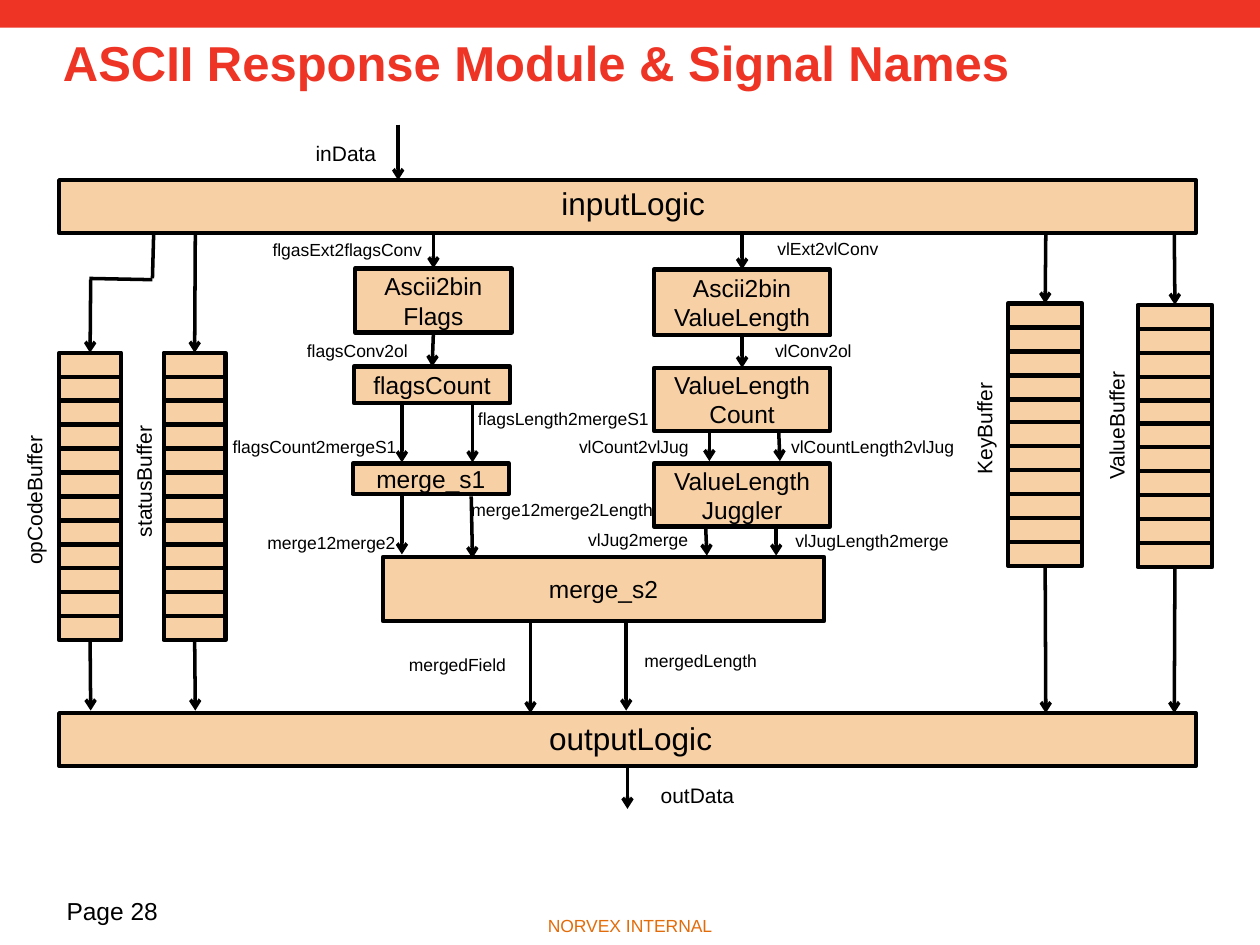
from pptx import Presentation
from pptx.dml.color import RGBColor
from pptx.enum.shapes import MSO_CONNECTOR, MSO_SHAPE
from pptx.enum.text import MSO_ANCHOR, PP_ALIGN
from pptx.oxml.ns import qn
from pptx.util import Pt
from lxml.etree import SubElement

PX = 9144  # 100 px to the inch
COLORS = {"red": "EE3424", "box": "F7D0A5", "ink": "000000", "footer": "E36C0A"}

deck = Presentation()
deck.slide_width, deck.slide_height = 1000 * PX, 750 * PX
page = deck.slides.add_slide(deck.slide_layouts[6])


def write_text(frame, text, size=10, color="ink", bold=False, wrap=True,
               align=PP_ALIGN.CENTER, anchor=MSO_ANCHOR.TOP, spacing=None):
    frame.word_wrap = wrap
    frame.vertical_anchor = anchor
    for index, line in enumerate(text.split("\n")):
        para = frame.paragraphs[0] if index == 0 else frame.add_paragraph()
        para.alignment = align
        para.line_spacing = spacing
        span = para.add_run()
        span.text = line
        span.font.name = "Arial"
        span.font.size = Pt(size)
        span.font.bold = bold
        span.font.color.rgb = RGBColor.from_string(COLORS[color])


def add_box(left, top, width, height, fill="box", outlined=True):
    box = page.shapes.add_shape(MSO_SHAPE.RECTANGLE, left * PX, top * PX, width * PX, height * PX)
    box.shadow.inherit = False
    box.fill.solid()
    box.fill.fore_color.rgb = RGBColor.from_string(COLORS[fill])
    if outlined:
        box.line.color.rgb = RGBColor.from_string(COLORS["ink"])
        box.line.width = Pt(2.5)
    else:
        box.line.fill.background()
    return box


# Top band
add_box(0, 0, 1000, 22, fill="red", outlined=False)

# Input and output bars
boxes = {
    "inputLogic": add_box(47, 143, 902, 42),
    "outputLogic": add_box(47, 566, 902, 42),
}

# Processing blocks
blocks = [
    ("flagsConv", "Ascii2bin\nFlags", 282, 213, 124, 51),
    ("flagsCount", "flagsCount", 281, 291, 124, 29),
    ("mergeS1", "merge_s1", 280, 368, 124, 24),
    ("vlConv", "Ascii2bin\nValueLength", 519, 214, 140, 52),
    ("vlCount", "ValueLength\nCount", 519, 292, 140, 50),
    ("vlJuggler", "ValueLength\nJuggler", 519, 368, 140, 50),
    ("mergeS2", "merge_s2", 304, 442, 350, 51),
]
for name, text, left, top, width, height in blocks:
    boxes[name] = add_box(left, top, width, height)
    write_text(boxes[name].text_frame, text, size=14, anchor=MSO_ANCHOR.MIDDLE)

# Buffers: stacks of equal cells
buffers = [
    ("opCode", 47, 280, 49, 12, 19),
    ("status", 130, 280, 49, 12, 19),
    ("key", 800, 241, 59, 11, 18.9),
    ("value", 903, 242, 59, 11, 18.9),
]
for name, left, top, width, count, pitch in buffers:
    cells = [add_box(left, top + round(row * pitch), width, 19) for row in range(count)]
    boxes[name + " first"], boxes[name + " last"] = cells[0], cells[-1]

# Signal lines: from, to, block joined at its bottom, block joined at its top
arrows = [
    (316, 99, 316, 143, None, None),
    (72, 222, 71, 280, None, "opCode first"),
    (155, 186, 155, 280, None, "status first"),
    (830, 186, 830, 241, None, "key first"),
    (932, 186, 932, 242, None, "value first"),
    (71, 509, 72, 564, "opCode last", None),
    (155, 509, 155, 564, "status last", None),
    (830, 450, 830, 566, "key last", None),
    (932, 450, 932, 566, "value last", None),
    (344, 184, 344, 213, None, "flagsConv"),
    (589, 185, 589, 214, None, "vlConv"),
    (343, 263, 343, 291, "flagsConv", "flagsCount"),
    (589, 265, 589, 292, "vlConv", "vlCount"),
    (319, 321, 319, 367, None, None),
    (375, 321, 375, 367, None, None),
    (319, 393, 319, 440, None, None),
    (374, 394, 375, 443, None, None),
    (563, 342, 563, 366, None, None),
    (618, 342, 619, 366, None, None),
    (560, 417, 561, 441, None, None),
    (616, 417, 616, 441, None, None),
    (421, 493, 421, 566, None, None),
    (497, 492, 497, 564, None, None),
    (498, 608, 498, 642, "outputLogic", None),
]
plain_lines = [
    (122, 185, 121, 221, None, None),
    (121, 222, 71, 221, None, None),
]
for signal in plain_lines + arrows:
    x1, y1, x2, y2, source, target = signal
    line = page.shapes.add_connector(MSO_CONNECTOR.STRAIGHT, x1 * PX, y1 * PX, x2 * PX, y2 * PX)
    if source:
        line.begin_connect(boxes[source], 2)
    if target:
        line.end_connect(boxes[target], 0)
    line.line.color.rgb = RGBColor.from_string(COLORS["ink"])
    line.line.width = Pt(2)
    if signal in arrows:
        SubElement(line.line._get_or_add_ln(), qn("a:tailEnd"), type="arrow")
    SubElement(line._element.spPr, qn("a:effectLst"))

# Labels: text, left, top, width, height, size, rotation
labels = [
    ("inputLogic", 435, 141, 135, 40, 18, 0),
    ("outputLogic", 425, 566, 151, 40, 18, 0),
    ("inData", 240, 107, 69, 30, 12, 0),
    ("outData", 514, 616, 79, 30, 12, 0),
    ("opCodeBuffer", -37, 382, 128, 30, 12, 270),
    ("statusBuffer", 59, 367, 110, 30, 12, 270),
    ("KeyBuffer", 734, 325, 94, 30, 12, 270),
    ("ValueBuffer", 833, 323, 106, 30, 12, 270),
    ("flgasExt2flagsConv", 201, 185, 149, 28, 10, 0),
    ("flagsConv2ol", 224, 265, 119, 28, 10, 0),
    ("flagsCount2mergeS1", 172, 341, 155, 27, 10, 0),
    ("flagsLength2mergeS1", 361, 319, 172, 27, 10, 0),
    ("merge12merge2", 201, 417, 124, 27, 10, 0),
    ("merge12merge2Length", 360, 391, 172, 27, 10, 0),
    ("vlExt2vlConv", 598, 184, 118, 28, 10, 0),
    ("vlConv2ol", 590, 265, 111, 28, 10, 0),
    ("vlCount2vlJug", 446, 341, 114, 27, 10, 0),
    ("vlCountLength2vlJug", 613, 341, 159, 27, 10, 0),
    ("vlJug2merge", 453, 415, 107, 27, 10, 0),
    ("vlJugLength2merge", 621, 416, 142, 27, 10, 0),
    ("mergedField", 304, 514, 118, 28, 10, 0),
    ("mergedLength", 497, 511, 118, 28, 10, 0),
]
for text, left, top, width, height, size, rotation in labels:
    label = page.shapes.add_textbox(left * PX, top * PX, width * PX, height * PX)
    label.rotation = rotation
    write_text(label.text_frame, text, size=size, wrap=size == 10)

# Title, page number and footer
title = page.shapes.add_textbox(50 * PX, 23 * PX, 900 * PX, 76 * PX)
title.text_frame.margin_left = 0
write_text(title.text_frame, "ASCII Response Module & Signal Names", size=28, color="red",
           bold=True, align=PP_ALIGN.LEFT, spacing=0.98)
number = page.shapes.add_textbox(43 * PX, 706 * PX, 233 * PX, 40 * PX)
write_text(number.text_frame, "Page 28", size=14, align=PP_ALIGN.LEFT)
footer = page.shapes.add_textbox(0, 721 * PX, 1000 * PX, 32 * PX)
write_text(footer.text_frame, "NORVEX INTERNAL", color="footer")

deck.save("out.pptx")
